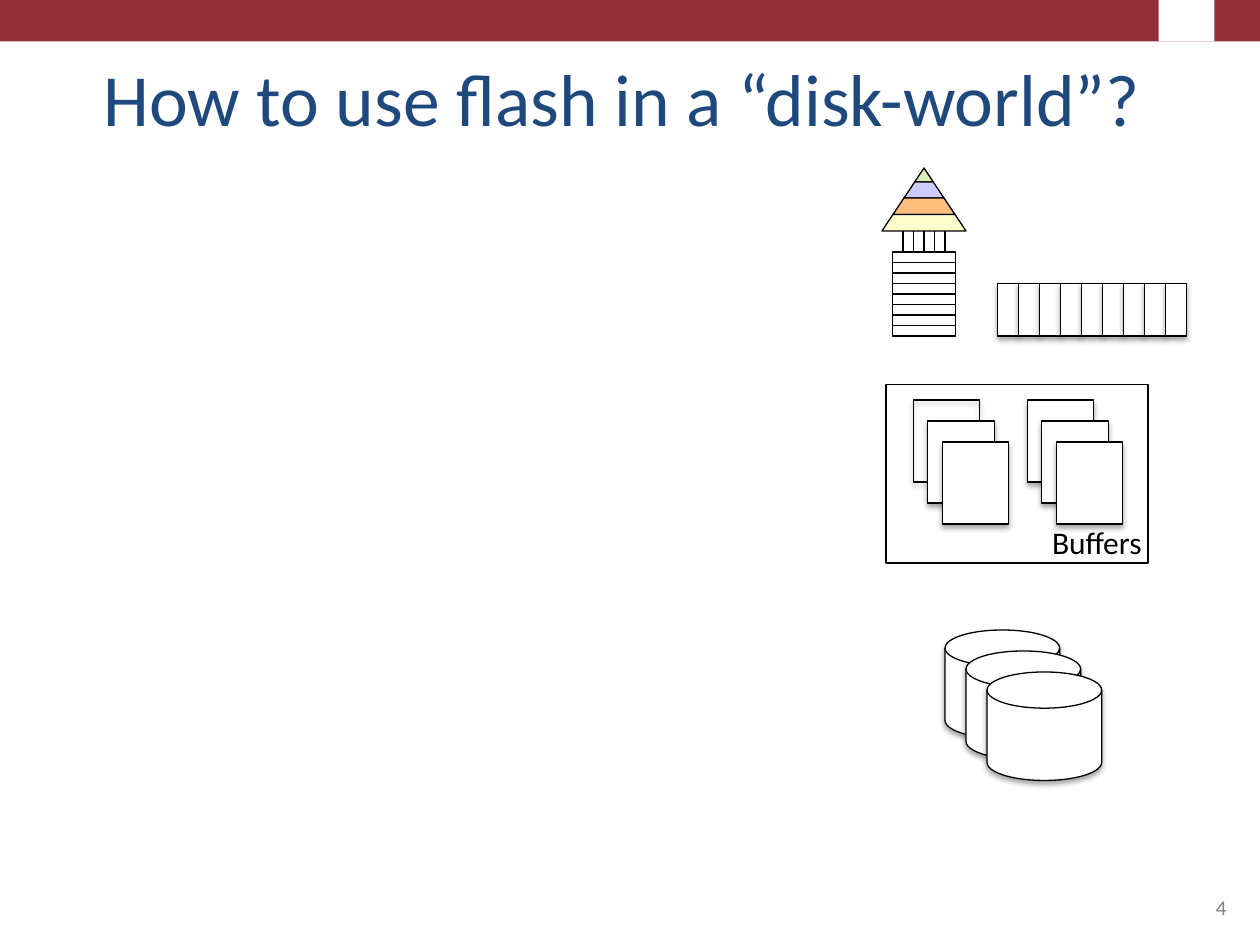
"""Build the slide on using flash in a disk world."""
import lxml.etree
import pptx
import pptx.dml.color
import pptx.enum.shapes
import pptx.enum.text
import pptx.oxml.ns
import pptx.util

Pt = pptx.util.Pt
KIND = pptx.enum.shapes.MSO_SHAPE
ALIGN = pptx.enum.text.PP_ALIGN
ANCHOR = pptx.enum.text.MSO_ANCHOR
qn = pptx.oxml.ns.qn
FONT = "Calibri"
BLACK = "000000"
WHITE = "FFFFFF"


def tint(code):
    return pptx.dml.color.RGBColor.from_string(code)


def paint(item, fill=None, line=None, width=0.75):
    item.shadow.inherit = False
    if fill:
        item.fill.solid()
        item.fill.fore_color.rgb = tint(fill)
    else:
        item.fill.background()
    if line:
        item.line.color.rgb = tint(line)
        item.line.width = Pt(width)
    else:
        item.line.fill.background()


def shade(item):
    effects = item._element.spPr.find(qn("a:effectLst"))
    drop = lxml.etree.SubElement(
        effects, qn("a:outerShdw"), blurRad=str(Pt(3.1)), dist=str(Pt(1.8)),
        dir="5400000", rotWithShape="0")
    color = lxml.etree.SubElement(drop, qn("a:srgbClr"), val=BLACK)
    lxml.etree.SubElement(color, qn("a:alpha"), val="35000")


def shape(slide, kind, box, fill=None, line=None, width=0.75):
    item = slide.shapes.add_shape(kind, *map(Pt, box))
    paint(item, fill, line, width)
    return item


def stack(slide, kind, box, step, count, fills=None):
    left, top, width, height = box
    for i in range(count):
        spot = (left + i * step[0], top + i * step[1], width, height)
        fill = fills[i] if fills else WHITE
        shade(shape(slide, kind, spot, fill, BLACK))


def rule(slide, start, end):
    item = slide.shapes.add_connector(
        pptx.enum.shapes.MSO_CONNECTOR.STRAIGHT, *map(Pt, start + end))
    item.line.color.rgb = tint(BLACK)
    item.line.width = Pt(1)
    lxml.etree.SubElement(item._element.spPr, qn("a:effectLst"))


def label(slide, box, text, size, color, align, anchor, wrap=True):
    frame = slide.shapes.add_textbox(*map(Pt, box)).text_frame
    frame.word_wrap = wrap
    frame.vertical_anchor = anchor
    para = frame.paragraphs[0]
    para.alignment = align
    run = para.add_run()
    run.text = text
    run.font.name = FONT
    run.font.size = Pt(size)
    run.font.color.rgb = tint(color)


def tier(slide, mid, peak, top, base, fill):
    near, far = (top - peak) * 2 / 3, (base - peak) * 2 / 3
    points = [(mid + near, top), (mid + far, base),
              (mid - far, base), (mid - near, top)]
    pen = slide.shapes.build_freeform(Pt(mid - near), Pt(top))
    pen.add_line_segments([(Pt(x), Pt(y)) for x, y in points], close=True)
    paint(pen.convert_to_shape(), fill, BLACK)


def header(slide):
    shape(slide, KIND.RECTANGLE, (0, 0, 720, 23.7), "963237")
    shape(slide, KIND.RECTANGLE, (662, 0, 32, 23.7), WHITE)
    label(slide, (36, 21.6, 648, 62.6), "How to use flash in a “disk-world”? ",
          42, "1F497D", ALIGN.CENTER, ANCHOR.BOTTOM)


def memory(slide):
    edges = [96, 104, 113.2, 122.6, 132]
    fills = ["D8EBB3", "CCCCFF", "FFBE7D", "FFFFCC"]
    for top, base, fill in zip(edges, edges[1:], fills):
        tier(slide, 528, 96, top, base, fill)
    shape(slide, KIND.RECTANGLE, (510, 144, 36, 48), None, BLACK, 1)
    for y in range(150, 192, 6):
        rule(slide, (510, y), (546, y))
    for x in range(516, 541, 6):
        rule(slide, (x, 132), (x, 144))


def buffers(slide):
    shape(slide, KIND.RECTANGLE, (506.2, 219.8, 150, 102), None, BLACK, 1)
    label(slide, (593.3, 295.2, 67, 28.8), "Buffers", 18, BLACK,
          ALIGN.CENTER, ANCHOR.TOP, False)
    for left, first in ((587, WHITE), (521.8, None)):
        stack(slide, KIND.RECTANGLE, (left, 228.6, 38, 46.8), (8.3, 12), 3,
              [first, WHITE, WHITE])


def main():
    deck = pptx.Presentation()
    deck.slide_width, deck.slide_height = Pt(720), Pt(540)
    slide = deck.slides.add_slide(deck.slide_layouts[6])
    header(slide)
    label(slide, (516, 492, 192, 37.2), "4", 12, "808080",
          ALIGN.RIGHT, ANCHOR.BOTTOM)
    memory(slide)
    buffers(slide)
    stack(slide, KIND.RECTANGLE, (570, 162, 12, 30), (12, 0), 9)
    stack(slide, KIND.FLOWCHART_MAGNETIC_DISK, (540, 360, 65.5, 62),
          (12, 12), 3)
    deck.save("out.pptx")


main()
